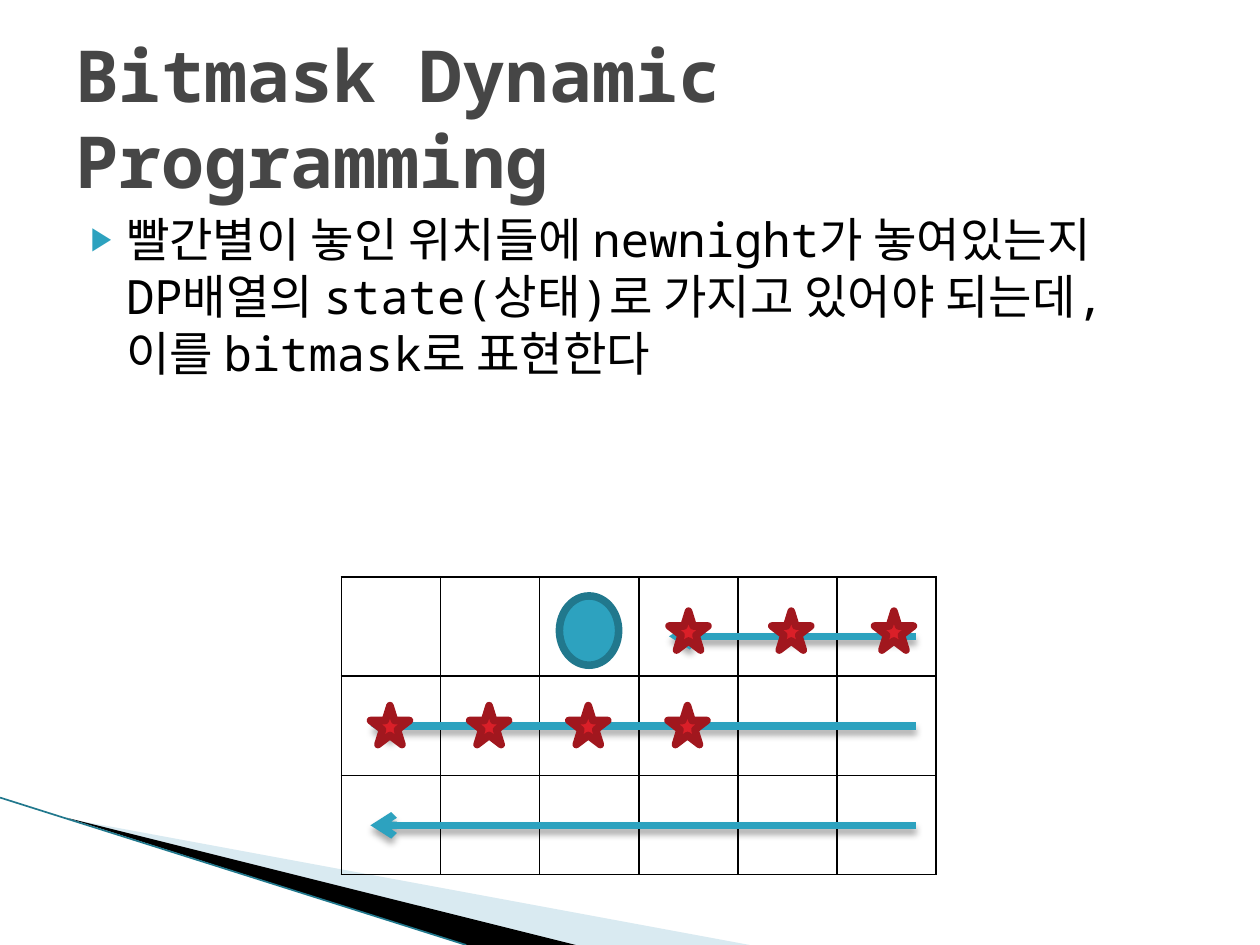
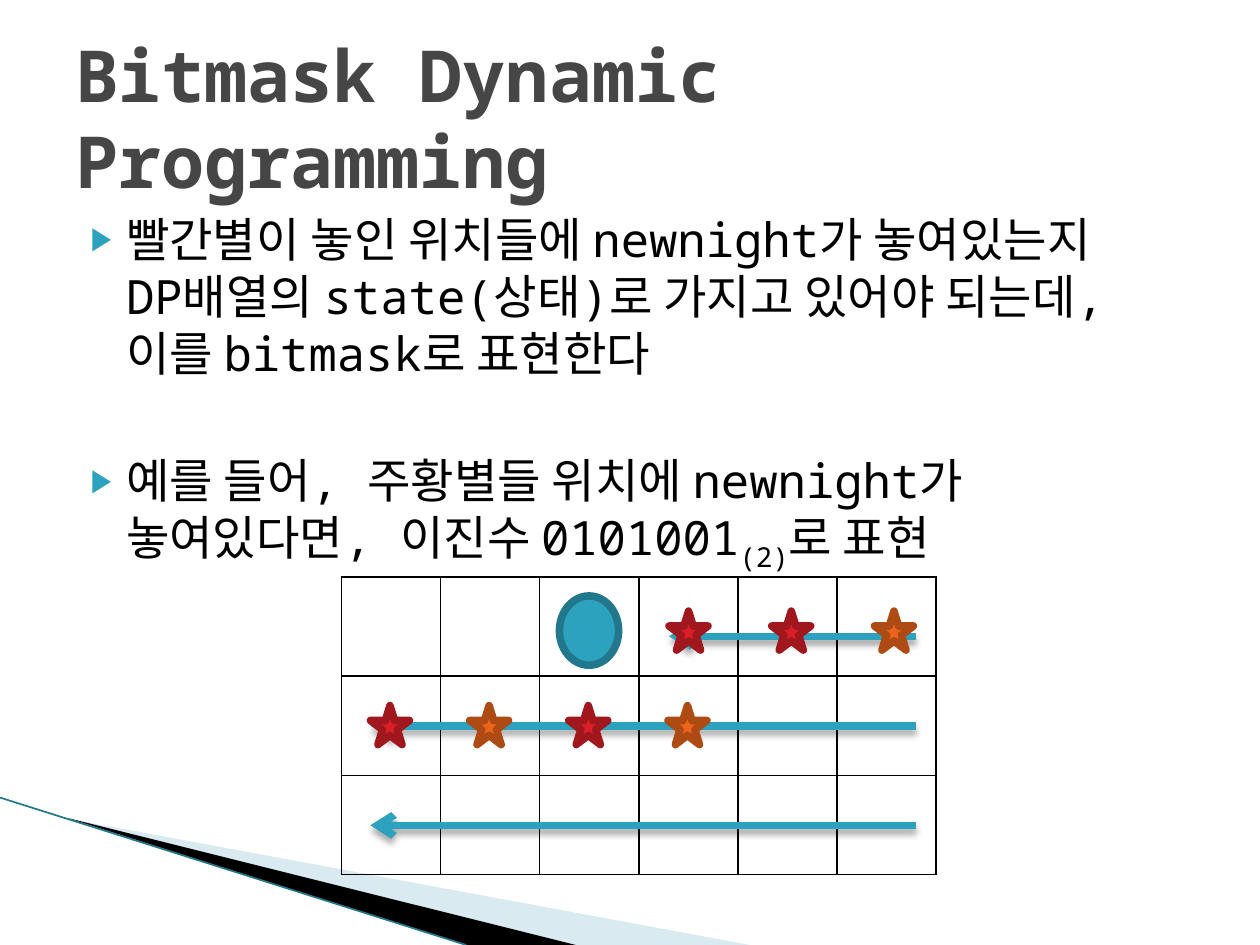
from copy import deepcopy

from lxml.etree import SubElement
from pptx import Presentation
from pptx.dml.color import RGBColor
from pptx.enum.shapes import MSO_CONNECTOR, MSO_SHAPE
from pptx.enum.text import MSO_ANCHOR, MSO_AUTO_SIZE, PP_ALIGN
from pptx.oxml import parse_xml
from pptx.oxml.ns import nsdecls, qn
from pptx.util import Inches, Pt

FONT = "Noto Sans Mono"
BLACK = RGBColor(0x00, 0x00, 0x00)
TITLE_GREY = RGBColor(0x46, 0x46, 0x46)
TEAL = RGBColor(0x2D, 0xA2, 0xBF)
DARK_TEAL = RGBColor(0x21, 0x78, 0x8D)
PALE_BLUE = RGBColor(0xA0, 0xCB, 0xDC)
RED = RGBColor(0xDA, 0x1F, 0x28)
DARK_RED = RGBColor(0xA1, 0x17, 0x1E)
ORANGE = RGBColor(0xEB, 0x64, 0x1B)
DARK_ORANGE = RGBColor(0xAE, 0x4A, 0x14)

RED_STAR = (RED, DARK_RED)
ORANGE_STAR = (ORANGE, DARK_ORANGE)
OUTLINE = Pt(4.33)
CELL = 0.787
COLUMNS, ROWS = 6, 3
STAR = 0.31

TITLE_BOX = (0.5, 0.3, 9, 1.25)
BODY_BOX = (0.5, 1.62, 9, 4.95)
BOARD_BOX = (2.71, 4.58, COLUMNS * CELL, ROWS * CELL)

TITLE = "Bitmask Dynamic Programming"
STATE_POINT = [
    "빨간별이 놓인 위치들에 newnight가 놓여있는지\v"
    "DP배열의 state(상태)로 가지고 있어야 되는데,\v"
    "이를 bitmask로 표현한다"
]
# The second span of a point is set as a subscript.
EXAMPLE_POINT = [
    "예를 들어, 주황별들 위치에 newnight가 놓여있다면, 이진수 0101001",
    "(2)",
    "로 표현",
]


def place(shape, box):
    """Move a shape to a box given in inches."""
    shape.left, shape.top, shape.width, shape.height = map(Inches, box)


def paint(shape, fill, line=None):
    """Give a shape a plain fill and, if named, a thick rounded outline."""
    shape.shadow.inherit = False
    shape.fill.solid()
    shape.fill.fore_color.rgb = fill
    if line is None:
        shape.line.fill.background()
    else:
        shape.line.color.rgb = line
        shape.line.width = OUTLINE
        SubElement(shape.line._get_or_add_ln(), qn("a:round"))


def add_line(page, start, end, color, width):
    """Draw a straight line without shadow between two points in inches."""
    line = page.shapes.add_connector(
        MSO_CONNECTOR.STRAIGHT, *map(Inches, (*start, *end)))
    line.line.color.rgb = color
    line.line.width = width
    SubElement(line._element.spPr, qn("a:effectLst"))
    return line


def add_arrow(page, start, end):
    """Draw a thick teal arrow with a soft shadow below it."""
    arrow = add_line(page, start, end, TEAL, OUTLINE)
    SubElement(arrow.line._get_or_add_ln(), qn("a:tailEnd"), type="arrow")
    effects = arrow._element.spPr.find(qn("a:effectLst"))
    effects.append(parse_xml(
        f'<a:outerShdw {nsdecls("a")} blurRad="{Pt(4)}" dist="{Pt(3)}" '
        'dir="5400000" rotWithShape="0"><a:srgbClr val="000000">'
        '<a:alpha val="35000"/></a:srgbClr></a:outerShdw>'))


def add_wedge(page, points, color, alpha=None):
    """Draw a filled outline through points in inches."""
    builder = page.shapes.build_freeform(
        *map(Inches, points[0]), scale=1.0)
    builder.add_line_segments(
        [tuple(map(Inches, point)) for point in points[1:]], close=True)
    wedge = builder.convert_to_shape()
    paint(wedge, color)
    if alpha:
        span = wedge._element.spPr.find(
            f'{qn("a:solidFill")}/{qn("a:srgbClr")}')
        SubElement(span, qn("a:alpha"), val=str(alpha * 1000))


def add_corner(page):
    """Draw the swoosh in the lower left corner."""
    add_wedge(page, [(0.55, 6.5), (5.95, 7.5), (4.56, 7.5)], PALE_BLUE, 40)
    add_wedge(page, [(0.53, 6.49), (4.57, 7.5), (3.7, 7.5)], BLACK)
    add_line(page, (0, 6.33), (3.7, 7.5), DARK_TEAL, Pt(0.95))


def fill_title(page, box):
    """Write the title into its placeholder."""
    title = page.shapes.title
    place(title, box)
    frame = title.text_frame
    frame.text = TITLE
    frame.auto_size = MSO_AUTO_SIZE.NONE
    frame.vertical_anchor = MSO_ANCHOR.MIDDLE
    paragraph = frame.paragraphs[0]
    paragraph.alignment = PP_ALIGN.LEFT
    font = paragraph.runs[0].font
    font.name, font.size, font.bold = FONT, Pt(41), True
    font.color.rgb = TITLE_GREY


def add_bullet(paragraph):
    """Give a paragraph a hanging teal triangle."""
    properties = paragraph._p.get_or_add_pPr()
    properties.set("marL", str(Inches(0.4)))
    properties.set("indent", str(Inches(-0.28)))
    color = SubElement(properties, qn("a:buClr"))
    SubElement(color, qn("a:srgbClr"), val=str(TEAL))
    SubElement(properties, qn("a:buSzPct"), val="68000")
    SubElement(properties, qn("a:buChar"), char="▶")


def fill_body(page, box, points):
    """Write the bullet points into the body placeholder."""
    body = page.placeholders[1]
    place(body, box)
    frame = body.text_frame
    frame.auto_size = MSO_AUTO_SIZE.NONE
    for number, spans in enumerate(points):
        paragraph = frame.add_paragraph() if number else frame.paragraphs[0]
        paragraph.text = spans[0]
        for text in spans[1:]:
            paragraph.add_run().text = text
        paragraph.space_before = Pt(40.5 if number else 4)
        add_bullet(paragraph)
        for span in paragraph.runs:
            span.font.name, span.font.size = FONT, Pt(27)
            span.font.color.rgb = BLACK
        for line_break in paragraph._p.findall(qn("a:br")):
            line_break.append(deepcopy(paragraph.runs[0]._r.rPr))
        if len(spans) > 1:
            paragraph.runs[1]._r.rPr.set("baseline", "-25000")


def add_grid(page, box):
    """Draw the empty table with thin black borders."""
    table = page.shapes.add_table(ROWS, COLUMNS, *map(Inches, box)).table
    table.first_row = table.horz_banding = False
    for part in table.columns:
        part.width = Inches(CELL)
    for part in table.rows:
        part.height = Inches(CELL)
    for cell in table.iter_cells():
        properties = cell._tc.get_or_add_tcPr()
        for side in ("a:lnL", "a:lnR", "a:lnT", "a:lnB"):
            border = SubElement(properties, qn(side), w=str(Pt(1)))
            fill = SubElement(border, qn("a:solidFill"))
            SubElement(fill, qn("a:srgbClr"), val=str(BLACK))
        cell.fill.background()


def add_stars(page, left, top, pitch, colors):
    """Draw a row of stars at equal steps."""
    for number, (fill, line) in enumerate(colors):
        star = page.shapes.add_shape(
            MSO_SHAPE.STAR_5_POINT, Inches(left + number * pitch),
            Inches(top), Inches(STAR), Inches(STAR))
        paint(star, fill, line)


def add_board(page, box, upper_stars, middle_stars):
    """Draw the grid with its arrows, disc and stars."""
    left, top = box[:2]
    add_grid(page, box)
    for tip, height in ((2.6, 0.47), (0.23, 1.18), (0.23, 1.97)):
        add_arrow(page, (left + 4.56, top + height),
                  (left + tip, top + height))
    disc = page.shapes.add_shape(
        MSO_SHAPE.OVAL, Inches(left + 1.73), Inches(top + 0.15),
        Inches(0.47), Inches(0.55))
    paint(disc, TEAL, DARK_TEAL)
    add_stars(page, left + 0.23, top + 1.02, CELL, middle_stars)
    add_stars(page, left + 2.6, top + 0.27, 0.815, upper_stars)


def add_page(deck, points, upper_stars, middle_stars):
    """Add one slide with title, points and board."""
    page = deck.slides.add_slide(deck.slide_layouts[1])
    add_corner(page)
    fill_title(page, TITLE_BOX)
    fill_body(page, BODY_BOX, points)
    add_board(page, BOARD_BOX, upper_stars, middle_stars)


def main():
    """Build and save the deck."""
    deck = Presentation()
    deck.slide_width, deck.slide_height = Inches(10), Inches(7.5)
    add_page(deck, [STATE_POINT], [RED_STAR] * 3, [RED_STAR] * 4)
    add_page(deck, [STATE_POINT, EXAMPLE_POINT],
             [RED_STAR, RED_STAR, ORANGE_STAR],
             [RED_STAR, ORANGE_STAR] * 2)
    deck.save("out.pptx")


main()
